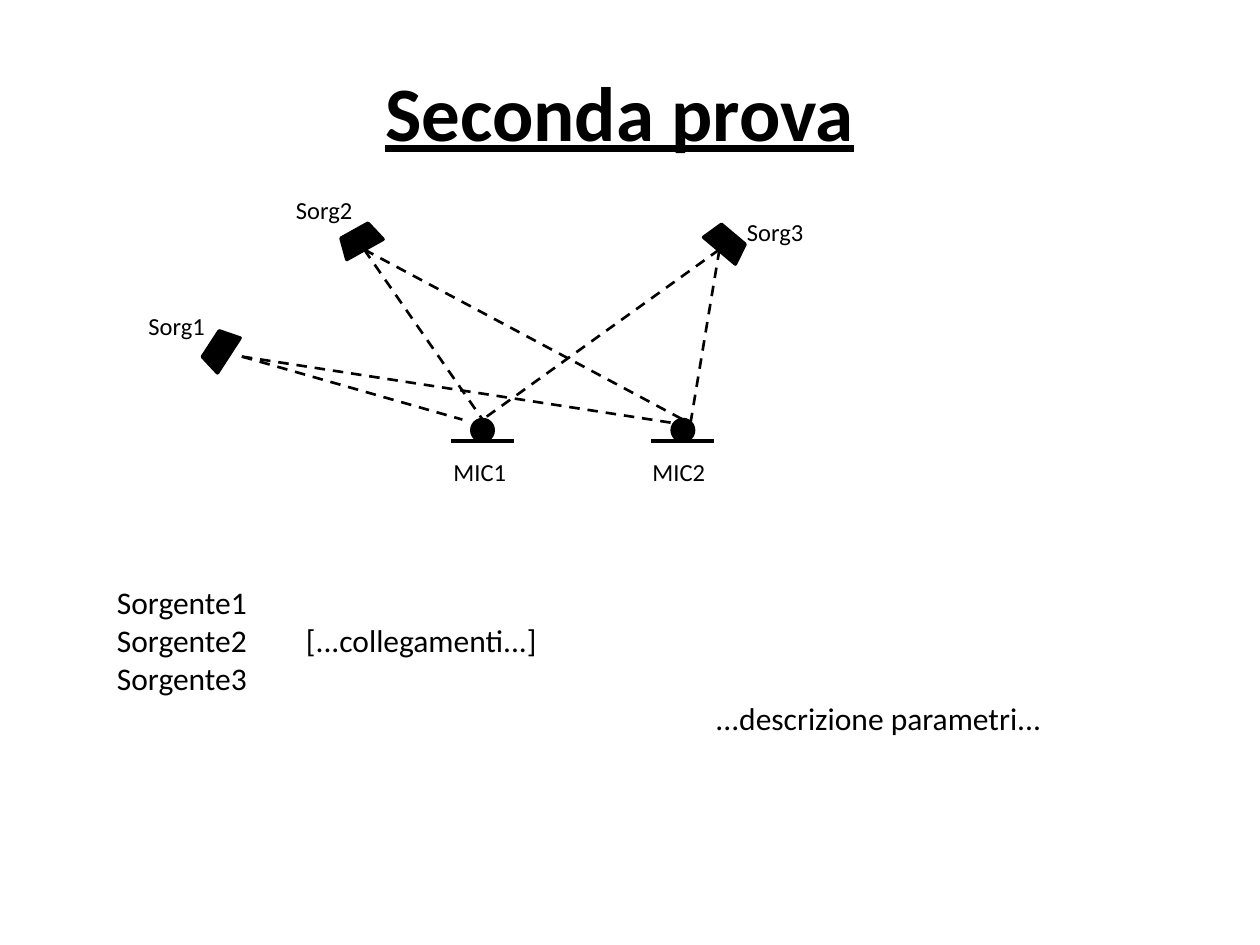
import pptx
import pptx.dml.color
import pptx.enum.dml
import pptx.enum.shapes
import pptx.enum.text
import pptx.oxml
import pptx.util

Inches = pptx.util.Inches
Shapes = pptx.enum.shapes.MSO_SHAPE
Align = pptx.enum.text.PP_ALIGN
COLOURS = {"ink": "000000"}
FONT = "Calibri"

TITLE = "Seconda prova"
MIC_TOP, MIC_SIZE, STAND_WIDTH = 3.33, 0.17, 0.5
LABEL_SIZE = (0.75, 0.34)
SPEAKER_SIZE = (0.33, 0.17)

# name: (centre, label position)
MICS = {"MIC1": (3.83, (3.5, 3.58)), "MIC2": (5.42, (5.08, 3.58))}

# name: speaker position, rotation, label position, start of the rays and
# where each ray ends (None: the top of the microphone)
SOURCES = {
    "Sorg2": dict(at=(2.69, 1.82), turn=330.8, label=(2.25, 1.5), start=(2.89, 1.98),
                  rays={"MIC1": None, "MIC2": None}),
    "Sorg1": dict(at=(1.58, 2.69), turn=303, label=(1.08, 2.42), start=(1.92, 2.83),
                  rays={"MIC1": (3.67, 3.33), "MIC2": (5.36, 3.36)}),
    "Sorg3": dict(at=(5.6, 1.84), turn=40.1, label=(5.83, 1.67), start=(5.71, 1.98),
                  rays={"MIC1": None, "MIC2": (5.48, 3.36)}),
}

NOTES = [
    (["Sorgente1", "Sorgente2\t[...collegamenti...]", "Sorgente3"], (0.83, 4.58), (4.5, 1.01)),
    (["...descrizione parametri..."], (5.58, 5.5), (3.33, 0.4)),
]


def ink():
    return pptx.dml.color.RGBColor.from_string(COLOURS["ink"])


def write(box, lines, size, bold=None, underline=None, align=None):
    frame = box.text_frame
    frame.word_wrap = True
    for index, line in enumerate(lines):
        para = frame.paragraphs[0] if index == 0 else frame.add_paragraph()
        para.alignment = align
        span = para.add_run()
        span.text = line
        font = span.font
        font.name, font.size = FONT, pptx.util.Pt(size)
        font.bold, font.underline = bold, underline
        font.color.rgb = ink()


def add_text(page, lines, at, extent, size):
    box = page.shapes.add_textbox(*map(Inches, at + extent))
    write(box, lines, size)
    box.text_frame.auto_size = pptx.enum.text.MSO_AUTO_SIZE.SHAPE_TO_FIT_TEXT


def add_solid(shapes, kind, at, extent, turn=0):
    shape = shapes.add_shape(kind, *map(Inches, at + extent))
    shape.rotation = turn
    shape.shadow.inherit = False
    shape.fill.solid()
    shape.fill.fore_color.rgb = ink()
    shape.line.color.rgb = ink()
    shape.line.width = pptx.util.Pt(2)
    return shape


def add_line(shapes, start, end, width, dash=None):
    line = shapes.add_connector(pptx.enum.shapes.MSO_CONNECTOR.STRAIGHT,
                                *map(Inches, start + end))
    line.line.color.rgb = ink()
    line.line.width = pptx.util.Pt(width)
    line.line.dash_style = dash
    properties = line._element.spPr
    properties.append(pptx.oxml.parse_xml(
        '<a:effectLst xmlns:a="http://schemas.openxmlformats.org/drawingml/2006/main"/>'))
    return line


def add_mic(page, centre):
    """Draw a microphone on its stand as one group and return its head."""
    group = page.shapes.add_group_shape()
    head = add_solid(group.shapes, Shapes.OVAL, (centre - MIC_SIZE / 2, MIC_TOP),
                     (MIC_SIZE, MIC_SIZE))
    base = MIC_TOP + MIC_SIZE
    add_line(group.shapes, (centre - STAND_WIDTH / 2, base),
             (centre + STAND_WIDTH / 2, base), 2)
    return head


def main():
    deck = pptx.Presentation()
    deck.slide_width, deck.slide_height = Inches(10), Inches(7.5)
    page = deck.slides.add_slide(deck.slide_layouts[5])

    title = page.shapes.title
    title.left, title.top, title.width, title.height = map(Inches, (0.42, 0.25, 9, 1.25))
    title.text_frame.vertical_anchor = pptx.enum.text.MSO_ANCHOR.MIDDLE
    write(title, [TITLE], 44, bold=True, underline=True, align=Align.CENTER)

    heads = {}
    for name, (centre, label) in MICS.items():
        heads[name] = add_mic(page, centre)
        add_text(page, [name], label, LABEL_SIZE, 14)

    for name, source in SOURCES.items():
        add_solid(page.shapes, Shapes.TRAPEZOID, source["at"], SPEAKER_SIZE, source["turn"])
        add_text(page, [name], source["label"], LABEL_SIZE, 14)
        for mic, end in source["rays"].items():
            ray = add_line(page.shapes, source["start"], end or (MICS[mic][0], MIC_TOP),
                           1.5, pptx.enum.dml.MSO_LINE.DASH)
            if end is None:
                ray.end_connect(heads[mic], 0)

    for lines, at, extent in NOTES:
        add_text(page, lines, at, extent, 18)

    deck.save("out.pptx")


if __name__ == "__main__":
    main()
